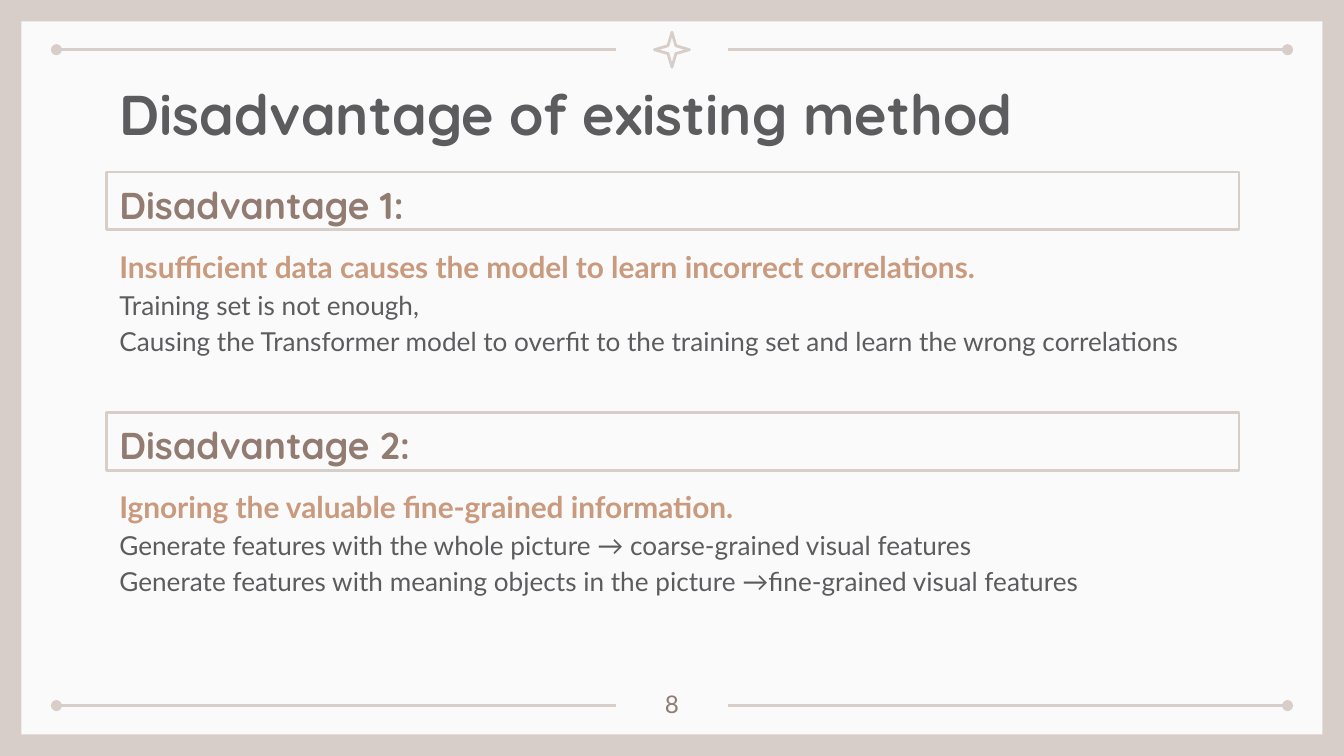
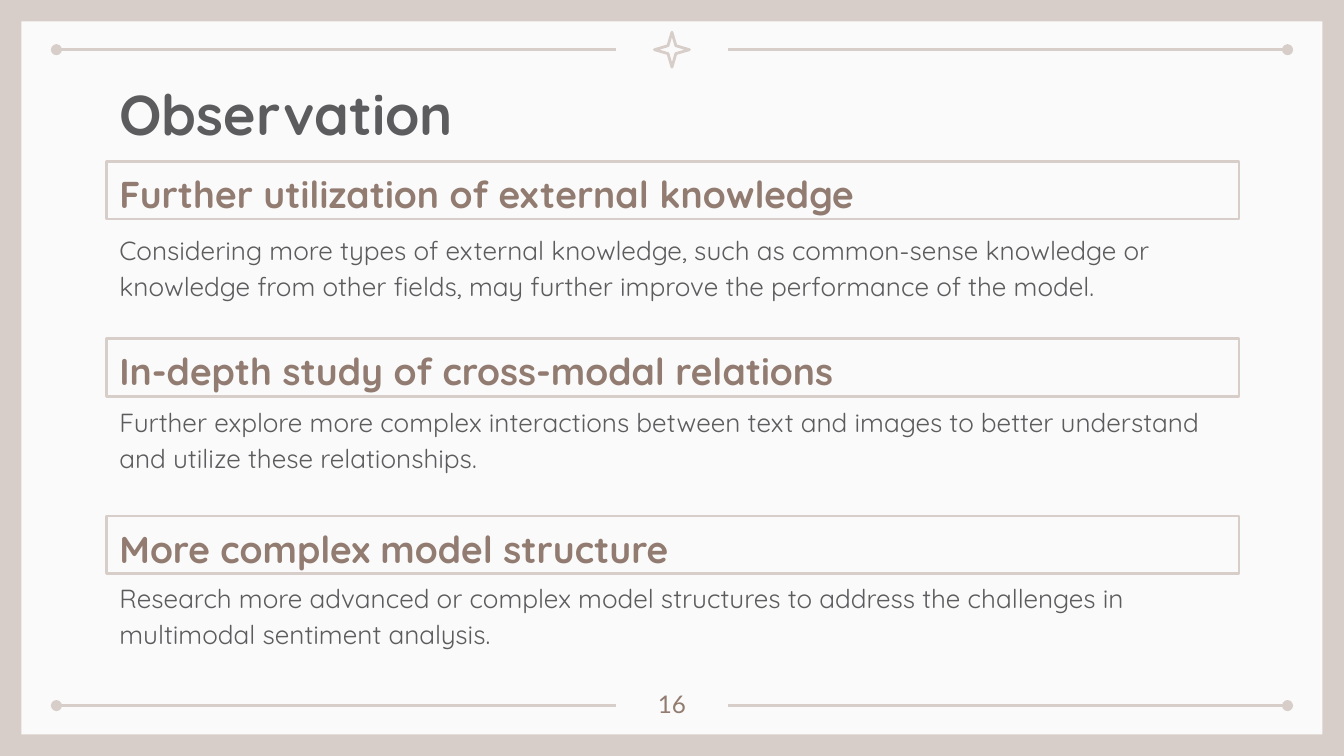
from lxml import etree
from pptx import Presentation
from pptx.dml.color import RGBColor
from pptx.enum.shapes import MSO_CONNECTOR, MSO_SHAPE
from pptx.enum.text import MSO_ANCHOR, PP_ALIGN
from pptx.oxml.ns import qn
from pptx.util import Inches, Pt

STRAIGHT = MSO_CONNECTOR.STRAIGHT
RECTANGLE, STAR = MSO_SHAPE.RECTANGLE, MSO_SHAPE.STAR_4_POINT
TOP, MIDDLE = MSO_ANCHOR.TOP, MSO_ANCHOR.MIDDLE
LEFT, CENTER = PP_ALIGN.LEFT, PP_ALIGN.CENTER

SAND, PAPER = "D8CEC9", "FAFAFA"
INK, BROWN, COPPER = "5C5C5F", "927C71", "C99A7D"
DISPLAY, PLAIN = "Quicksand", "Lato"

WIDTH = 10
HEIGHT = WIDTH * 9 / 16
BORDER = 0.16
RULE_MARGIN, RULE_LENGTH = 0.42, 4.16
TOP_RULE, BOTTOM_RULE = 0.37, 5.25
STAR_SIZE = 0.26
COLUMN_LEFT, COLUMN_WIDTH = 0.79, 8.43
HEADING_HEIGHT = 0.43
INSET = 0.1
LINE_WEIGHT = 1.5

# A style is (size, font, colour, bold).
TITLE = (30, DISPLAY, INK, True)
HEADING = (20, DISPLAY, BROWN, True)
CLAIM = (16, PLAIN, COPPER, True)
DETAIL = (14, PLAIN, INK, False)
REMARK = (14, DISPLAY, INK, False)
NUMBER = (13, PLAIN, BROWN, False)

# A section is (heading top, body top, body height, heading, body lines).
DISADVANTAGES = [
    (1.28, 1.71, 1.2, "Disadvantage 1:", [
        ("Insufficient data causes the model to learn incorrect correlations.", CLAIM),
        ("Training set is not enough,", DETAIL),
        ("Causing the Transformer model to overfit to the training set and "
         "learn the wrong correlations", DETAIL)]),
    (3.07, 3.5, 1.2, "Disadvantage 2:", [
        ("Ignoring the valuable fine-grained information.", CLAIM),
        ("Generate features with the whole picture → coarse-grained visual features", DETAIL),
        ("Generate features with meaning objects in the picture →fine-grained "
         "visual features", DETAIL)]),
]
OBSERVATIONS = [
    (1.2, 1.61, 0.83, "Further utilization of external knowledge", [
        ("Considering more types of external knowledge, such as common-sense "
         "knowledge or knowledge from other fields, may further improve the "
         "performance of the model.", REMARK)]),
    (2.52, 2.89, 0.69, "In-depth study of cross-modal relations", [
        ("Further explore more complex interactions between text and images to "
         "better understand and utilize these relationships.", REMARK)]),
    (3.84, 4.2, 0.69, "More complex model structure", [
        ("Research more advanced or complex model structures to address the "
         "challenges in multimodal sentiment analysis.", REMARK)]),
]


def color(value):
    return RGBColor.from_string(value)


def inches(*lengths):
    return [Inches(length) for length in lengths]


def write(shape, lines, anchor=TOP, align=LEFT, spacing=1.0):
    """Fill a shape with one paragraph for each (text, style) pair."""
    frame = shape.text_frame
    frame.word_wrap = True
    frame.vertical_anchor = anchor
    frame.margin_left = frame.margin_right = Inches(INSET)
    frame.margin_top = frame.margin_bottom = Inches(INSET)
    frame.text = "\n".join(text for text, style in lines)
    for para, (text, style) in zip(frame.paragraphs, lines):
        para.alignment = align
        para.line_spacing = spacing
        for span in para.runs:
            size, span.font.name, tint, span.font.bold = style
            span.font.size = Pt(size)
            span.font.color.rgb = color(tint)


def add_text(page, box, lines, **layout):
    write(page.shapes.add_textbox(*inches(*box)), lines, **layout)


def add_outline(page, kind, box):
    shape = page.shapes.add_shape(kind, *inches(*box))
    shape.shadow.inherit = False
    shape.fill.background()
    shape.line.color.rgb = color(SAND)
    shape.line.width = Pt(LINE_WEIGHT)
    return shape


def add_rule(page, left, y, dotted_end):
    """Draw a horizontal rule with a dot at its headEnd or tailEnd."""
    rule = page.shapes.add_connector(
        STRAIGHT, *inches(left, y, left + RULE_LENGTH, y))
    rule.line.color.rgb = color(SAND)
    rule.line.width = Pt(LINE_WEIGHT)
    properties = rule.element.spPr
    dot = etree.SubElement(properties.find(qn("a:ln")), qn(f"a:{dotted_end}"))
    dot.set("type", "oval")
    etree.SubElement(properties, qn("a:effectLst"))


def add_frame(page, number):
    """Draw the border, paper, rules, star and page number."""
    page.background.fill.solid()
    page.background.fill.fore_color.rgb = color(SAND)
    paper = page.shapes.add_shape(RECTANGLE, *inches(
        BORDER, BORDER, WIDTH - 2 * BORDER, HEIGHT - 2 * BORDER))
    paper.shadow.inherit = False
    paper.fill.solid()
    paper.fill.fore_color.rgb = color(PAPER)
    paper.line.fill.background()

    for y in (TOP_RULE, BOTTOM_RULE):
        add_rule(page, RULE_MARGIN, y, "headEnd")
        add_rule(page, WIDTH - RULE_MARGIN - RULE_LENGTH, y, "tailEnd")
    star = add_outline(page, STAR, (
        (WIDTH - STAR_SIZE) / 2, TOP_RULE - STAR_SIZE / 2, STAR_SIZE, STAR_SIZE))
    star.adjustments[0] = 0.16
    add_text(page, (4.7, 5.03, 0.6, 0.36), [(str(number), NUMBER)], align=CENTER)


def add_section(page, heading_top, body_top, body_height, heading, lines):
    add_text(page, (COLUMN_LEFT, body_top, COLUMN_WIDTH, body_height),
             lines, spacing=1.15)
    bar = add_outline(page, RECTANGLE, (
        COLUMN_LEFT, heading_top, COLUMN_WIDTH, HEADING_HEIGHT))
    write(bar, [(heading, HEADING)], anchor=MIDDLE, spacing=1.15)


def add_page(deck, number, title, sections):
    page = deck.slides.add_slide(deck.slide_layouts[6])
    add_frame(page, number)
    add_text(page, (COLUMN_LEFT, 0.49, COLUMN_WIDTH, 0.63), [(title, TITLE)])
    for section in sections:
        add_section(page, *section)


def main():
    deck = Presentation()
    deck.slide_width, deck.slide_height = inches(WIDTH, HEIGHT)
    add_page(deck, 8, "Disadvantage of existing method", DISADVANTAGES)
    add_page(deck, 16, "Observation", OBSERVATIONS)
    deck.save("out.pptx")


if __name__ == "__main__":
    main()
